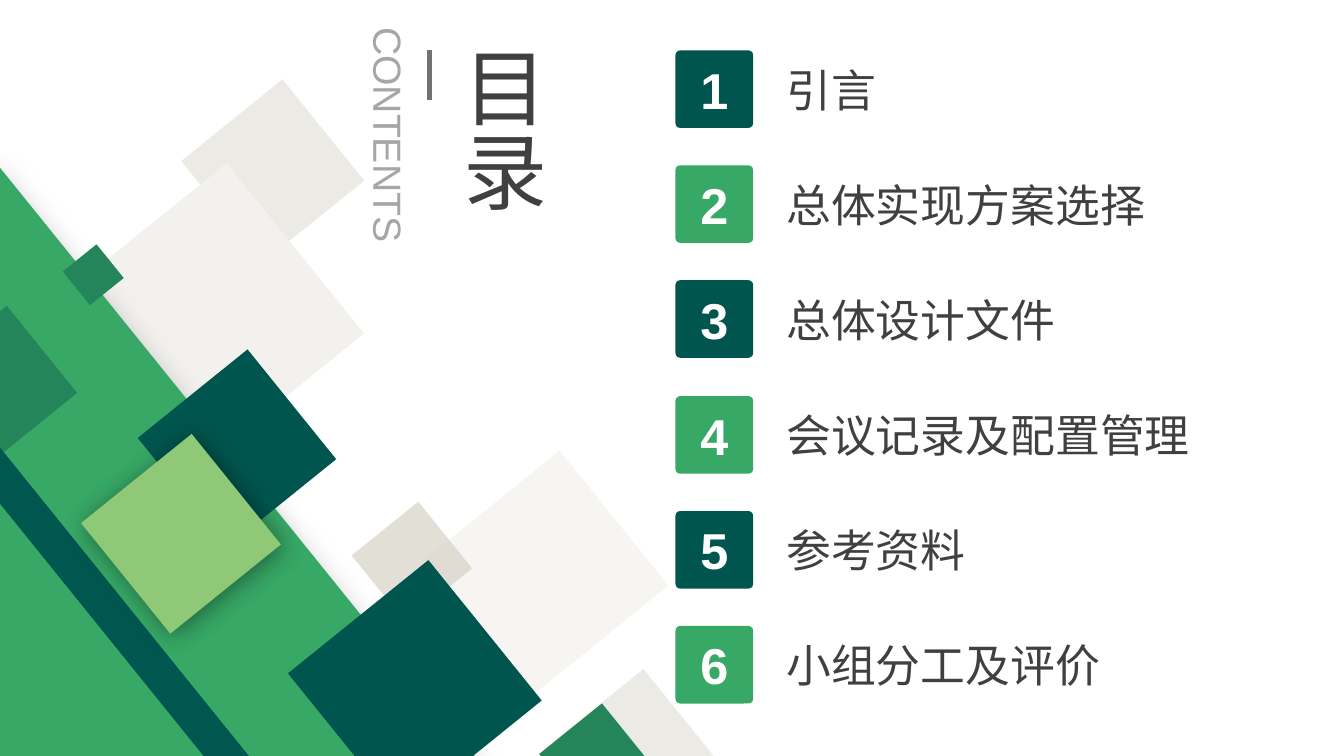
import pptx
import pptx.util
import pptx.dml.color
import pptx.enum.shapes
import pptx.enum.text
import pptx.oxml.ns
from lxml import etree

PX = 9144  # 100 px to the inch
TILT = 231.1
FONT = "Arial"
COLORS = {
    "deep": "00554E", "stripe": "00574F", "green": "37A866", "mid": "24855A",
    "lime": "8FC877", "stone": "E7E4DD", "pale": "F2F1ED", "sand": "D8D4C9",
    "text": "404040", "caption": "A6A6A6", "rule": "767171",
    "white": "FFFFFF", "black": "000000",
}

# left, top, width, height, colour, opacity %, shadow (blur pt, distance pt, angle)
TILES = [
    (206, 105, 129, 129, "stone", 76, None),
    (100, 206, 217, 217, "pale", 100, None),
    (564, 690, 129, 129, "stone", 76, None),
    (456, 482, 172, 172, "pale", 67, None),
    (366, 515, 85, 85, "sand", 73, None),
    (-392, 468, 1039, 485, "green", 100, (27, 16, 90)),
    (551, 714, 80, 80, "mid", 100, None),
    (165, 375, 140, 140, "deep", 100, None),
    (-57, 326, 111, 111, "mid", 100, None),
    (71, 251, 43, 43, "mid", 100, None),
    (-380, 657, 1087, 35, "stripe", 100, None),
    (109, 459, 141, 141, "lime", 100, (18, 3, 45)),
    (322, 592, 179, 179, "deep", 100, None),
]
CHAPTERS = ["引言", "总体实现方案选择", "总体设计文件",
            "会议记录及配置管理", "参考资料", "小组分工及评价"]


def box(*lengths):
    return [pptx.util.Emu(n * PX) for n in lengths]


def rgb(name):
    return pptx.dml.color.RGBColor.from_string(COLORS[name])


def add_child(parent, tag, **attrs):
    child = etree.SubElement(parent, pptx.oxml.ns.qn(tag))
    for key, value in attrs.items():
        child.set(key, str(value))
    return child


def write(tf, text, size, color, bold=False):
    p = tf.paragraphs[0]
    r = p.add_run()
    r.text = text
    r.font.name = FONT
    r.font.size = pptx.util.Pt(size)
    r.font.bold = bold
    r.font.color.rgb = rgb(color)
    return p


def add_block(s, kind, left, top, width, height, color):
    sp = s.shapes.add_shape(kind, *box(left, top, width, height))
    sp.shadow.inherit = False
    sp.fill.solid()
    sp.fill.fore_color.rgb = rgb(color)
    sp.line.fill.background()
    return sp


def add_tile(s, left, top, width, height, color, opacity, shadow):
    sp = add_block(s, pptx.enum.shapes.MSO_SHAPE.RECTANGLE,
                   left, top, width, height, color)
    sp.rotation = TILT
    spPr = sp.element.spPr
    if opacity < 100:
        clr = spPr.find(".//" + pptx.oxml.ns.qn("a:srgbClr"))
        add_child(clr, "a:alpha", val=opacity * 1000)
    if shadow:
        blur, distance, angle = shadow
        effects = spPr.find(pptx.oxml.ns.qn("a:effectLst"))
        outer = add_child(effects, "a:outerShdw", blurRad=blur * 12700,
                          dist=distance * 12700, dir=angle * 60000,
                          algn="ctr", rotWithShape=0)
        clr = add_child(outer, "a:srgbClr", val=COLORS["black"])
        add_child(clr, "a:alpha", val=40000)


def add_label(s, left, top, width, height, text, size, color):
    sp = s.shapes.add_textbox(*box(left, top, width, height))
    sp.text_frame.word_wrap = True
    write(sp.text_frame, text, size, color)
    return sp


def add_title(s, left, top, width, height, text):
    sp = s.shapes.title
    sp.left, sp.top, sp.width, sp.height = box(left, top, width, height)
    tf = sp.text_frame
    tf.auto_size = pptx.enum.text.MSO_AUTO_SIZE.NONE
    tf.vertical_anchor = pptx.enum.text.MSO_ANCHOR.TOP
    tf._txBody.bodyPr.set("vert", "eaVert")
    p = write(tf, text, 60, "text")
    p.alignment = pptx.enum.text.PP_ALIGN.LEFT


def add_rule(s, x, top, bottom):
    line = s.shapes.add_connector(pptx.enum.shapes.MSO_CONNECTOR.STRAIGHT,
                                  *box(x, top, x, bottom))
    line.line.color.rgb = rgb("rule")
    line.line.width = pptx.util.Pt(3)
    add_child(line.element.spPr, "a:effectLst")


def add_chapter(s, number, top, text):
    color = "deep" if number % 2 else "green"
    sp = add_block(s, pptx.enum.shapes.MSO_SHAPE.ROUNDED_RECTANGLE,
                   670, top, 77, 77, color)
    sp.adjustments[0] = 0.06
    sp.text_frame.vertical_anchor = pptx.enum.text.MSO_ANCHOR.MIDDLE
    p = write(sp.text_frame, str(number), 36, "white", bold=True)
    p.alignment = pptx.enum.text.PP_ALIGN.CENTER
    add_label(s, 770, top + 7, 454, 64, text, 32, "text")


def main():
    prs = pptx.Presentation()
    prs.slide_width, prs.slide_height = box(1333, 750)
    s = prs.slides.add_slide(prs.slide_layouts[5])

    # Tilted tiles
    for tile in TILES:
        add_tile(s, *tile)

    # Heading
    add_label(s, 258, 116, 255, 57, "CONTENTS", 28, "caption").rotation = 90
    add_rule(s, 426, 50, 99)
    add_title(s, 437, 40, 121, 195, "目录")

    # Numbered chapters
    for i, text in enumerate(CHAPTERS):
        add_chapter(s, i + 1, 50 + round(114.2 * i), text)

    prs.save("out.pptx")


if __name__ == "__main__":
    main()
